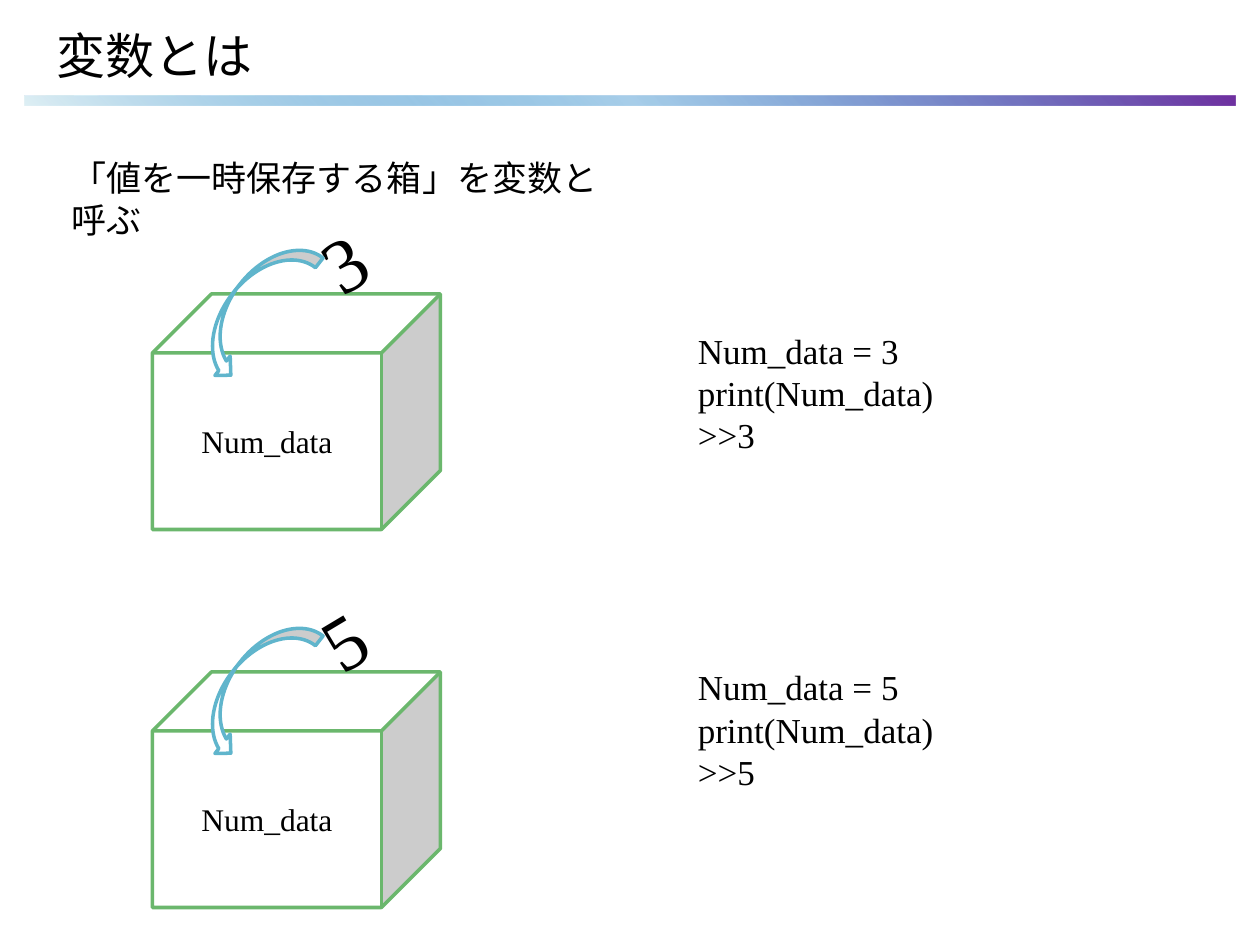
import pptx
import pptx.util
import pptx.dml.color
import pptx.enum.shapes
import pptx.enum.text
import pptx.oxml

Pt = pptx.util.Pt
RGBColor = pptx.dml.color.RGBColor
MSO_SHAPE = pptx.enum.shapes.MSO_SHAPE
PP_ALIGN = pptx.enum.text.PP_ALIGN
MSO_ANCHOR = pptx.enum.text.MSO_ANCHOR

BLACK = RGBColor(0x00, 0x00, 0x00)
WHITE = RGBColor(0xFF, 0xFF, 0xFF)
GREEN = RGBColor(0x6B, 0xB7, 0x6D)
BLUE = RGBColor(0x60, 0xB5, 0xCC)
FONT = "Times New Roman"
GRADIENT = (
    '<a:gradFill xmlns:a="http://schemas.openxmlformats.org/drawingml/2006/main">'
    '<a:gsLst><a:gs pos="0"><a:srgbClr val="DFF0F5"/></a:gs>'
    '<a:gs pos="50000"><a:srgbClr val="0070C0"><a:alpha val="34000"/></a:srgbClr></a:gs>'
    '<a:gs pos="100000"><a:srgbClr val="7030A0"/></a:gs></a:gsLst>'
    '<a:lin ang="18900000" scaled="0"/></a:gradFill>'
)


def write(sp, lines, size, align=PP_ALIGN.LEFT, spacing=None):
    tf = sp.text_frame
    tf.word_wrap = True
    tf.text = "\n".join(lines)
    for p in tf.paragraphs:
        for name, value in {"alignment": align, "line_spacing": spacing}.items():
            setattr(p, name, value)
        font = p.runs[0].font
        for name, value in {"name": FONT, "size": Pt(size)}.items():
            setattr(font, name, value)
        font.color.rgb = BLACK
    return tf


def add_outlined(shapes, kind, box, color):
    sp = shapes.add_shape(kind, *map(Pt, box))
    sp.shadow.inherit = False
    sp.fill.solid()
    sp.fill.fore_color.rgb = WHITE
    sp.line.color.rgb = color
    sp.line.width = Pt(2)
    return sp


prs = pptx.Presentation()
prs.slide_width, prs.slide_height = Pt(720), Pt(540)
s = prs.slides.add_slide(prs.slide_layouts[5])

title = s.shapes.title
box = {"left": 25.2, "top": 9.4, "width": 658.8, "height": 43.9}
for name, value in box.items():
    setattr(title, name, Pt(value))
write(title, ["変数とは"], 28).vertical_anchor = MSO_ANCHOR.MIDDLE

bar = s.shapes.add_shape(MSO_SHAPE.RECTANGLE, Pt(14), Pt(54.5), Pt(692), Pt(6))
bar.shadow.inherit = False
bar.line.fill.background()
bar.fill.background()
no_fill = bar.element.spPr.find(pptx.oxml.ns.qn("a:noFill"))
bar.element.spPr.replace(no_fill, pptx.oxml.parse_xml(GRADIENT))

values = ["3", "5"]
code = s.shapes.add_textbox(Pt(391.7), Pt(185), Pt(150), Pt(298))
lines = [line for v in values for line in (f"Num_data = {v}", "print(Num_data)", f">>{v}")]
tf = write(code, lines, 20, spacing=Pt(24))
tf.paragraphs[3].space_before = Pt(120)

lead = s.shapes.add_textbox(Pt(33.8), Pt(85.7), Pt(321), Pt(55))
write(lead, ["「値を一時保存する箱」を変数と呼ぶ"], 20, spacing=Pt(24))

for i, value in enumerate(values):
    dy = i * 216
    group = s.shapes.add_group_shape()
    cube = add_outlined(group.shapes, MSO_SHAPE.CUBE, (87.1, 168 + dy, 164.5, 134.6), GREEN)
    tf = write(cube, ["Num_data"], 18, PP_ALIGN.CENTER)
    tf.vertical_anchor = MSO_ANCHOR.MIDDLE
    digit = group.shapes.add_textbox(Pt(178), Pt(119.5 + dy), Pt(36), Pt(60))
    write(digit, [value], 44, PP_ALIGN.CENTER)
    digit.rotation = 329.1
    arrow = add_outlined(group.shapes, MSO_SHAPE.CURVED_RIGHT_ARROW,
                         (131, 128.9 + dy, 28.1, 92.2), BLUE)
    arrow.rotation = 38.2

prs.save("out.pptx")
